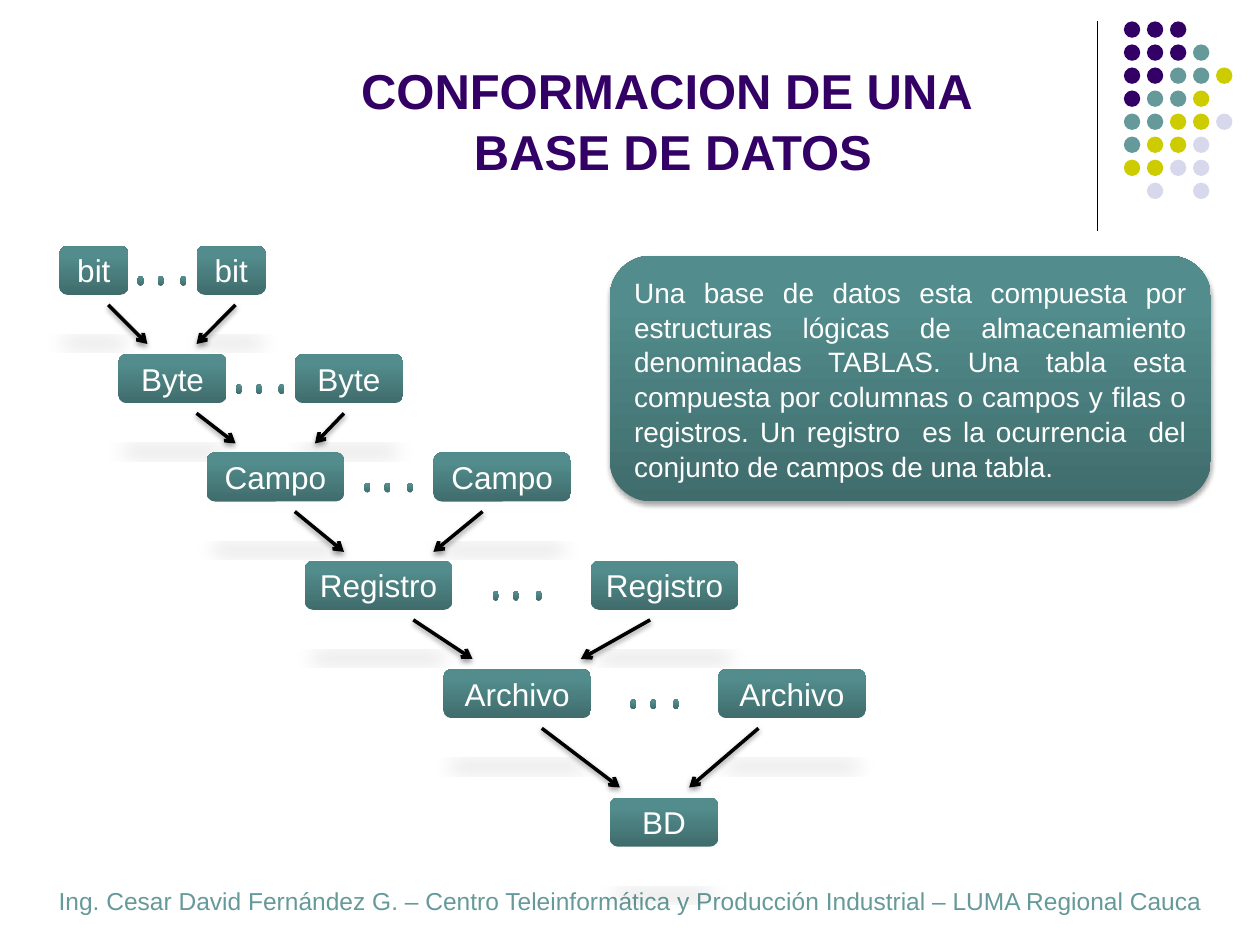
from pptx import Presentation
from pptx.dml.color import RGBColor
from pptx.enum.shapes import MSO_CONNECTOR as CONNECTOR, MSO_SHAPE as SHAPE
from pptx.enum.text import MSO_ANCHOR as ANCHOR, PP_ALIGN as ALIGN
from pptx.oxml import parse_xml
from pptx.oxml.ns import nsdecls, qn
from pptx.util import Inches, Pt

PURPLE = RGBColor(0x33, 0x00, 0x66)
TEAL = RGBColor(0x66, 0x99, 0x99)
YELLOW = RGBColor(0xCC, 0xCC, 0x00)
LILAC = RGBColor(0xD8, 0xD8, 0xEC)
WHITE = RGBColor(0xFF, 0xFF, 0xFF)
BLACK = RGBColor(0x00, 0x00, 0x00)
DARK_TEAL = RGBColor(0x40, 0x6C, 0x6C)
MID_TEAL = RGBColor(0x52, 0x8C, 0x8C)
LIGHT_TEAL = RGBColor(0x52, 0x8E, 0x8E)

GRADIENT_STOPS = [(0, DARK_TEAL), (80, MID_TEAL), (100, LIGHT_TEAL)]
FLOOR_SHADOW = {"alpha": 15, "blur": 12, "dist": 25, "scale": 'sx="90000" sy="-19000"'}
LINE_SHADOW = {"alpha": 38, "blur": 3.1, "dist": 1.6, "scale": ""}
PANEL_SHADOW = {"alpha": 35, "blur": 3.1, "dist": 1.8, "scale": ""}


def add_shadow(item, alpha, blur, dist, scale):
    properties = item._element.spPr
    for old in properties.findall(qn("a:effectLst")):
        properties.remove(old)
    properties.append(parse_xml(
        f'<a:effectLst {nsdecls("a")}><a:outerShdw blurRad="{Pt(blur)}" dist="{Pt(dist)}" '
        f'dir="5400000" {scale} rotWithShape="0"><a:srgbClr val="{BLACK}">'
        f'<a:alpha val="{alpha * 1000}"/></a:srgbClr></a:outerShdw></a:effectLst>'))


def write_text(box, lines, align, anchor, font, wrap=True, spacing=None):
    frame = box.text_frame
    frame.word_wrap = wrap
    frame.vertical_anchor = anchor
    para = frame.paragraphs[0]
    para.alignment = align
    para.line_spacing = spacing
    for index, line in enumerate(lines):
        if index:
            para.add_line_break()
        span = para.add_run()
        span.text = line
        span.font.name = "Arial"
        span.font.color.rgb = font["color"]
        for name in ("size", "bold"):
            setattr(span.font, name, font.get(name))


deck = Presentation()
deck.slide_width, deck.slide_height = Inches(10), Inches(7.5)
page = deck.slides.add_slide(deck.slide_layouts[6])
shapes = page.shapes

rule = shapes.add_connector(CONNECTOR.STRAIGHT, Inches(8.71), Inches(0.17), Inches(8.71), Inches(1.83))
rule.line.color.rgb = BLACK
rule.line.width = Pt(0.75)
rule._element.spPr.append(parse_xml(f'<a:effectLst {nsdecls("a")}/>'))

dot_colors = {"P": PURPLE, "T": TEAL, "Y": YELLOW, "L": LILAC}
dot_rows = ["PPP", "PPPT", "PPTTY", "PTTY", "TTYYL", "TYYL", "YYLL", " L L"]
dot_pitch = 1.28 / 7
for row, codes in enumerate(dot_rows):
    for column, code in enumerate(codes):
        if code in dot_colors:
            dot = shapes.add_shape(
                SHAPE.OVAL, Inches(8.92 + column * dot_pitch), Inches(0.17 + row * dot_pitch),
                Inches(0.13), Inches(0.13))
            dot.shadow.inherit = False
            dot.fill.solid()
            dot.fill.fore_color.rgb = dot_colors[code]
            dot.line.fill.background()

footer = shapes.add_textbox(Inches(0.2), Inches(6.98), Inches(9.61), Inches(0.32))
write_text(
    footer,
    ["Ing. Cesar David Fernández G. – Centro Teleinformática y Producción Industrial – LUMA Regional Cauca"],
    ALIGN.CENTER, ANCHOR.TOP, {"size": Pt(14), "color": TEAL})

title = shapes.add_textbox(Inches(1.93), Inches(0.39), Inches(6.82), Inches(1.09))
write_text(title, ["CONFORMACION DE UNA ", "BASE DE DATOS"], ALIGN.CENTER, ANCHOR.BOTTOM,
           {"size": Pt(28), "bold": True, "color": PURPLE}, spacing=1.04)

levels = [
    ("bit", 1.95, 0.55, [0.47, 1.56], 1.09),
    ("Byte", 2.81, 0.86, [0.94, 2.34], 1.87),
    ("Campo", 3.59, 1.09, [1.64, 3.44], 2.89),
    ("Registro", 4.45, 1.17, [2.42, 4.69], 3.91),
    ("Archivo", 5.31, 1.17, [3.52, 5.7], 5),
    ("BD", 6.33, 0.86, [4.84], None),
]
pieces = []
for label, top, width, lefts, dots_left in levels:
    for left in lefts:
        pieces.append((SHAPE.ROUNDED_RECTANGLE, left, top, width, 0.39, label, FLOOR_SHADOW))
    if dots_left is not None:
        for offset in (0, 0.16, 0.34):
            pieces.append((SHAPE.OVAL, dots_left + offset, top + 0.24, 0.05, 0.08, "", FLOOR_SHADOW))
description = (
    "Una base de datos esta compuesta por estructuras lógicas de almacenamiento denominadas TABLAS. "
    "Una tabla esta compuesta por columnas o campos y filas o registros. "
    "Un registro  es la ocurrencia  del conjunto de campos de una tabla.")
pieces.append((SHAPE.ROUNDED_RECTANGLE, 4.84, 2.03, 4.77, 1.95, description, PANEL_SHADOW))

stops = "".join(
    f'<a:gs pos="{position * 1000}"><a:srgbClr val="{color}"/></a:gs>' for position, color in GRADIENT_STOPS)
for kind, left, top, width, height, words, shadow in pieces:
    box = shapes.add_shape(kind, Inches(left), Inches(top), Inches(width), Inches(height))
    box.fill.background()
    box.line.fill.background()
    properties = box._element.spPr
    properties.replace(properties.find(qn("a:noFill")), parse_xml(
        f'<a:gradFill {nsdecls("a")} rotWithShape="1"><a:gsLst>{stops}</a:gsLst>'
        '<a:lin ang="16200000" scaled="0"/></a:gradFill>'))
    add_shadow(box, **shadow)
    if words == description:
        write_text(box, [words], ALIGN.JUSTIFY, ANCHOR.MIDDLE,
                   {"size": Pt(16), "color": WHITE}, spacing=1.04)
    elif words:
        write_text(box, [words], ALIGN.CENTER, ANCHOR.MIDDLE,
                   {"size": Pt(18), "color": WHITE}, wrap=False)

arrow_rows = [
    (2.42, 2.73, [(0.86, 1.17), (1.87, 1.56)]),
    (3.28, 3.52, [(1.56, 1.87), (2.73, 2.5)]),
    (4.06, 4.38, [(2.34, 2.73), (3.83, 3.44)]),
    (4.92, 5.23, [(3.28, 3.75), (5.16, 4.61)]),
    (5.78, 6.25, [(4.3, 4.92), (6.02, 5.47)]),
]
for start_y, end_y, spans in arrow_rows:
    for start_x, end_x in spans:
        arrow = shapes.add_connector(
            CONNECTOR.STRAIGHT, Inches(start_x), Inches(start_y), Inches(end_x), Inches(end_y))
        arrow.line.color.rgb = BLACK
        arrow.line.width = Pt(2)
        arrow.line._get_or_add_ln().append(parse_xml(f'<a:tailEnd {nsdecls("a")} type="arrow"/>'))
        add_shadow(arrow, **LINE_SHADOW)

deck.save("out.pptx")
